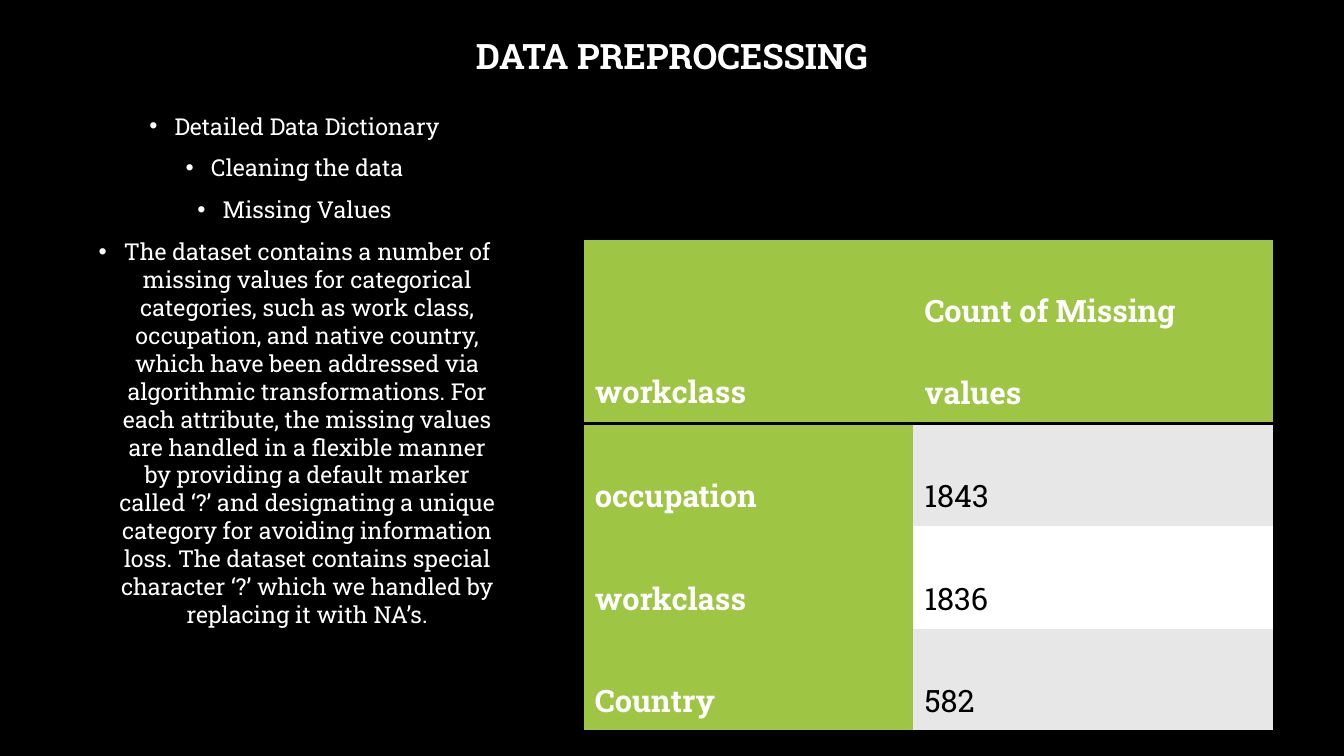
"""Build the data preprocessing slide with its bullet list and missing-value table."""
import dataclasses

import lxml.etree
import pptx
import pptx.dml.color
import pptx.enum.text
import pptx.oxml.ns
import pptx.util

Inches = pptx.util.Inches
Pt = pptx.util.Pt
Align = pptx.enum.text.PP_ALIGN
Anchor = pptx.enum.text.MSO_ANCHOR
qn = pptx.oxml.ns.qn


@dataclasses.dataclass(frozen=True)
class Theme:
    font: str = "Roboto Slab"
    black: str = "000000"
    white: str = "FFFFFF"
    green: str = "9EC544"
    grey: str = "E7E7E7"
    title_size: float = 25
    bullet_size: float = 16.6
    table_size: float = 22


theme = Theme()


def rgb(color):
    return pptx.dml.color.RGBColor.from_string(color)


def add_run(paragraph, text, size, color, bold=False):
    run = paragraph.add_run()
    run.text = text
    run.font.name = theme.font
    run.font.size = Pt(size)
    run.font.bold = bold
    run.font.color.rgb = rgb(color)


prs = pptx.Presentation()
prs.slide_width = Inches(13.33)
prs.slide_height = Inches(7.5)
slide = prs.slides.add_slide(prs.slide_layouts[6])
slide.background.fill.solid()
slide.background.fill.fore_color.rgb = rgb(theme.black)

title = slide.shapes.add_textbox(Inches(0.7), Inches(0.28), Inches(11.93), Inches(0.6)).text_frame
title.word_wrap = True
title.vertical_anchor = Anchor.MIDDLE
title.paragraphs[0].alignment = Align.CENTER
title.paragraphs[0].line_spacing = 0.9
add_run(title.paragraphs[0], "DATA PREPROCESSING", theme.title_size, theme.white, bold=True)

steps = [
    "Detailed Data Dictionary",
    "Cleaning the data",
    "Missing Values",
    "The dataset contains a number of missing values for categorical categories, "
    "such as work class, occupation, and native country, which have been addressed "
    "via algorithmic transformations. For each attribute, the missing values are "
    "handled in a flexible manner by providing a default marker called ‘?’ and "
    "designating a unique category for avoiding information loss. The dataset "
    "contains special character ‘?’ which we handled by replacing it with NA’s.",
]
step_list = slide.shapes.add_textbox(Inches(0.72), Inches(1.06), Inches(4.34), Inches(5.69)).text_frame
step_list.word_wrap = True
for index, step in enumerate(steps):
    paragraph = step_list.add_paragraph() if index else step_list.paragraphs[0]
    paragraph.alignment = Align.CENTER
    paragraph.line_spacing = 1.0
    paragraph.space_before = Pt(10)
    properties = paragraph._p.get_or_add_pPr()
    properties.set("marL", str(Inches(0.31)))
    properties.set("indent", str(Inches(-0.25)))
    lxml.etree.SubElement(properties, qn("a:buFont")).set("typeface", "Arial")
    lxml.etree.SubElement(properties, qn("a:buChar")).set("char", "•")
    add_run(paragraph, step, theme.bullet_size, theme.white)

missing_counts = [
    ("workclass", "Count of Missing values"),
    ("occupation", "1843"),
    ("workclass", "1836"),
    ("Country", "582"),
]
column_widths = [3.27, 3.57]
row_heights = [1.83, 1.02, 1.02, 1.02]
ruled_sides = {0: ["a:lnT", "a:lnB"], len(missing_counts) - 1: ["a:lnB"]}

table = slide.shapes.add_table(
    len(row_heights), len(column_widths), Inches(5.79), Inches(2.37),
    Inches(sum(column_widths)), Inches(sum(row_heights)),
).table
no_grid_style = "{2D5ABB26-0587-4C30-8999-92F81FD0307C}"
table._tbl.tblPr.find(qn("a:tableStyleId")).text = no_grid_style
for column, width in zip(table.columns, column_widths):
    column.width = Inches(width)

for row_index, (height, entries) in enumerate(zip(row_heights, missing_counts)):
    table.rows[row_index].height = Inches(height)
    for column_index, entry in enumerate(entries):
        cell = table.cell(row_index, column_index)
        is_heading = row_index == 0 or column_index == 0
        cell.margin_left = cell.margin_right = Inches(0.11)
        cell.margin_top = cell.margin_bottom = Inches(0.11)
        cell.vertical_anchor = Anchor.BOTTOM if row_index == 0 else Anchor.MIDDLE
        for side in ruled_sides.get(row_index, []):
            rule = lxml.etree.SubElement(cell._tc.get_or_add_tcPr(), qn(side), w=str(Pt(2)))
            rule_fill = lxml.etree.SubElement(rule, qn("a:solidFill"))
            lxml.etree.SubElement(rule_fill, qn("a:srgbClr"), val=theme.black)
        band = theme.grey if row_index % 2 else theme.white
        cell.fill.solid()
        cell.fill.fore_color.rgb = rgb(theme.green if is_heading else band)
        paragraph = cell.text_frame.paragraphs[0]
        paragraph.line_spacing = 2.0
        color = theme.white if is_heading else theme.black
        add_run(paragraph, entry, theme.table_size, color, bold=is_heading)

prs.save("out.pptx")
